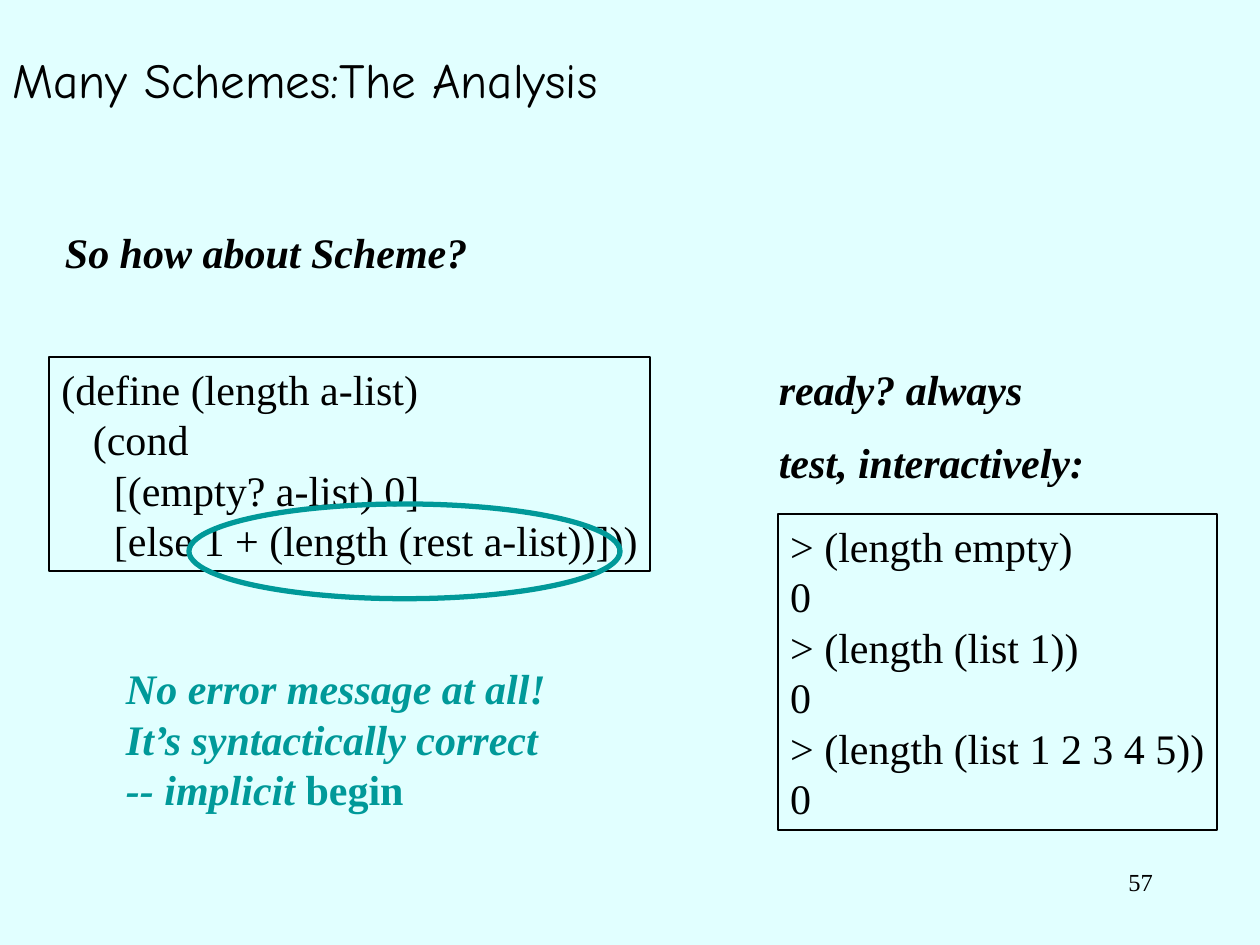
from pptx import Presentation
from pptx.dml.color import RGBColor
from pptx.enum.shapes import MSO_SHAPE as Shape
from pptx.enum.text import MSO_ANCHOR as Anchor, MSO_AUTO_SIZE as Fit, PP_ALIGN as Align
from pptx.util import Cm, Pt

BLACK = RGBColor(0x00, 0x00, 0x00)
TEAL = RGBColor(0x00, 0x99, 0x99)
PALE = RGBColor(0xE1, 0xFF, 0xFF)

CODE = [
    "(define (length a-list)",
    "   (cond",
    "     [(empty? a-list) 0]",
    "     [else 1 + (length (rest a-list))]))",
]
TESTS = [
    "> (length empty)", "0",
    "> (length (list 1))", "0",
    "> (length (list 1 2 3 4 5))", "0",
]


class Deck:
    """Holds the style and the current slide."""
    head = "Comic Neue"
    body = "Times New Roman"
    size = 24

    def __init__(self):
        self.prs = Presentation()
        self.prs.slide_width, self.prs.slide_height = Cm(25.4), Cm(19.05)
        self.slide = self.prs.slides.add_slide(self.prs.slide_layouts[5])
        fill = self.slide.background.fill
        fill.solid()
        fill.fore_color.rgb = PALE

    def run(self, para, text, font=body, size=size, color=BLACK, bold=False, slant=False):
        run = para.add_run()
        run.text = text
        run.font.name, run.font.size = font, Pt(size)
        run.font.color.rgb = color
        run.font.bold, run.font.italic = bold, slant

    def title(self, text, x, y, w, h):
        box = self.slide.shapes.title
        box.left, box.top, box.width, box.height = Cm(x), Cm(y), Cm(w), Cm(h)
        frame = box.text_frame
        frame.auto_size, frame.vertical_anchor = Fit.NONE, Anchor.MIDDLE
        para = frame.paragraphs[0]
        para.alignment = Align.LEFT
        self.run(para, text, font=self.head, size=28)

    def lines(self, frame, rows, align=Align.LEFT, **style):
        """Each row is a string or a list of (text, style changes)."""
        for i, row in enumerate(rows):
            para = frame.add_paragraph() if i else frame.paragraphs[0]
            para.alignment = align
            for text, extra in [(row, {})] if isinstance(row, str) else row:
                self.run(para, text, **{**style, **extra})

    def text(self, rows, x, y, w, h, wrap=False, **style):
        box = self.slide.shapes.add_textbox(Cm(x), Cm(y), Cm(w), Cm(h))
        box.text_frame.word_wrap = wrap
        if not wrap:
            box.text_frame.auto_size = Fit.SHAPE_TO_FIT_TEXT
        self.lines(box.text_frame, rows, **style)

    def shape(self, kind, x, y, w, h, color, width):
        shape = self.slide.shapes.add_shape(kind, Cm(x), Cm(y), Cm(w), Cm(h))
        shape.shadow.inherit = False
        shape.fill.background()
        shape.line.color.rgb, shape.line.width = color, Pt(width)
        return shape

    def code(self, rows, x, y, w, h):
        frame = self.shape(Shape.RECTANGLE, x, y, w, h, BLACK, 1).text_frame
        frame.word_wrap, frame.vertical_anchor = False, Anchor.TOP
        frame.auto_size = Fit.SHAPE_TO_FIT_TEXT
        self.lines(frame, rows)

    def ring(self, x, y, w, h):
        self.shape(Shape.OVAL, x, y, w, h, TEAL, 3)


def main():
    deck = Deck()
    strong = {"bold": True, "slant": True}

    # Title and question
    deck.title("Many Schemes:The Analysis", 0, 0, 21.59, 3.18)
    deck.code(CODE, 0.99, 7.2, 12.12, 4.32)
    deck.text(["So how about Scheme?"], 1.06, 4.45, 8.84, 1.28, **strong)

    # Interactive tests
    deck.text(["ready? always"], 15.45, 7.2, 5.5, 1.28, **strong)
    deck.text(["test, interactively:"], 15.45, 8.68, 6.9, 1.28, wrap=True, **strong)
    deck.code(TESTS, 15.68, 10.37, 8.86, 6.36)

    # Remark on the marked expression
    remark = [
        "No error message at all!",
        "It’s syntactically correct",
        [("-- implicit ", {}), ("begin", {"slant": False})],
    ]
    deck.text(remark, 2.29, 13.24, 8.97, 3.3, color=TEAL, **strong)
    deck.ring(3.81, 10.16, 8.69, 1.91)

    # Slide number
    deck.text(["57"], 18.21, 17.35, 5.28, 1.27, wrap=True, align=Align.RIGHT, size=14)

    deck.prs.save("out.pptx")


if __name__ == "__main__":
    main()
